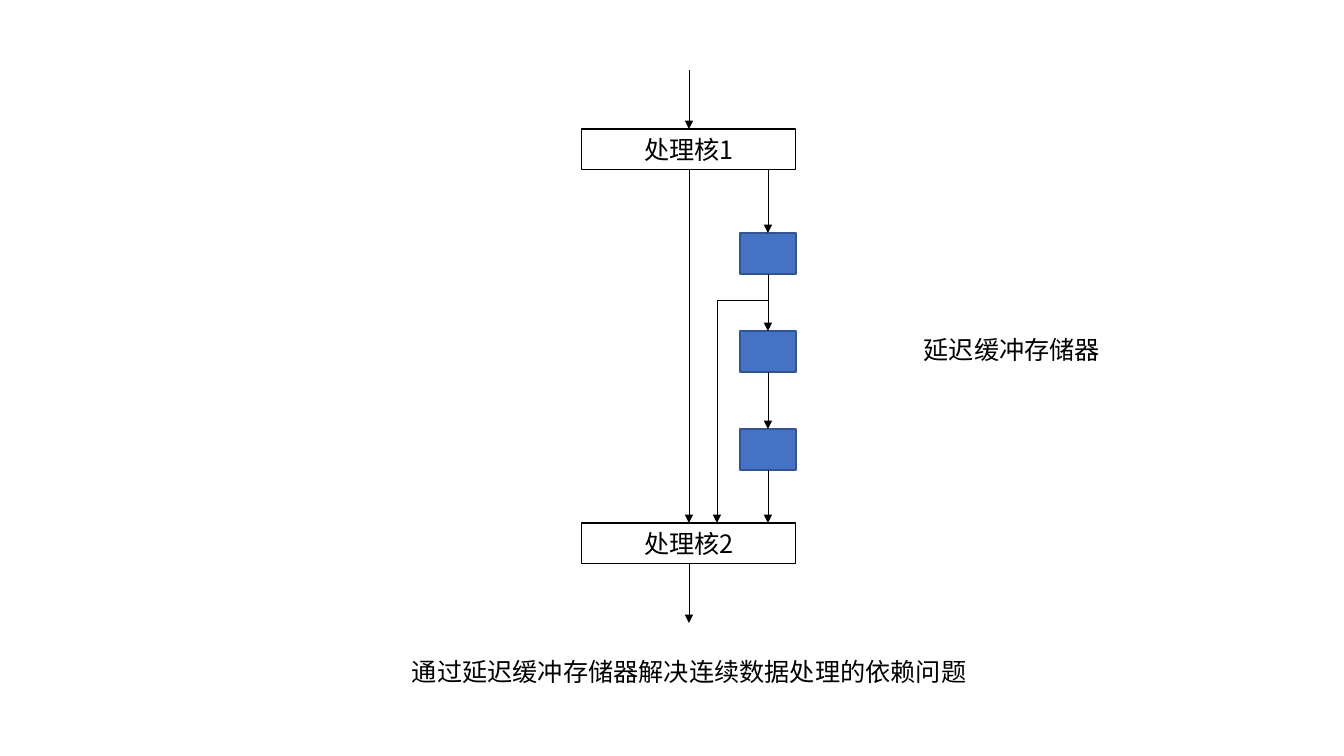
"""Build a slide showing delay buffers between two processing cores."""
from dataclasses import dataclass

from lxml.etree import SubElement
from pptx import Presentation
from pptx.dml.color import RGBColor
from pptx.enum.shapes import MSO_CONNECTOR, MSO_SHAPE
from pptx.enum.text import MSO_ANCHOR, PP_ALIGN
from pptx.oxml.ns import qn
from pptx.util import Pt

CORES = [("处理核1", 129), ("处理核2", 523)]
LABELS = [
    ("延迟缓冲存储器", (787, 329, 450, 41)),
    ("通过延迟缓冲存储器解决连续数据处理的依赖问题", (378, 651, 622, 41)),
]
CORE_X, CORE_W, BOX_H = 582, 214, 41
BUFFER_W, BUFFER_Y, BUFFER_PITCH, BUFFER_COUNT = 56, 233, 98, 3
INPUT_Y, OUTPUT_Y = 70, 623
BRANCH_X, BRANCH_Y = 717, 301
TOP, BOTTOM = 0, 2


@dataclass(frozen=True)
class Theme:
    font: str = "Noto Sans CJK SC"
    size: int = 18
    ink: str = "000000"
    buffer: str = "4472C4"
    edge: str = "325491"
    core_line: float = 0.75
    buffer_line: float = 1
    arrow_line: float = 0.5


THEME = Theme()


def px(n):
    return round(n * 914400 / 100.8)


def color(code):
    return RGBColor.from_string(code)


def write(shape, text, *, size=THEME.size, ink=THEME.ink, align=PP_ALIGN.CENTER):
    tf = shape.text_frame
    tf.word_wrap = True
    tf.vertical_anchor = MSO_ANCHOR.MIDDLE
    p = tf.paragraphs[0]
    p.alignment = align
    r = p.add_run()
    r.text = text
    r.font.size = Pt(size)
    r.font.color.rgb = color(ink)
    r.font.name = THEME.font
    SubElement(r.font._element, qn("a:ea"), typeface=THEME.font)


def add_box(s, x, y, w, line, width, fill=None):
    sp = s.shapes.add_shape(MSO_SHAPE.RECTANGLE, px(x), px(y), px(w), px(BOX_H))
    sp.shadow.inherit = False
    if fill:
        sp.fill.solid()
        sp.fill.fore_color.rgb = color(fill)
    else:
        sp.fill.background()
    sp.line.color.rgb = color(line)
    sp.line.width = Pt(width)
    return sp


def add_arrow(s, start, end, kind=MSO_CONNECTOR.STRAIGHT, source=None, target=None):
    c = s.shapes.add_connector(kind, *map(px, start + end))
    c.line.color.rgb = color(THEME.ink)
    c.line.width = Pt(THEME.arrow_line)
    SubElement(c.line._get_or_add_ln(), qn("a:tailEnd"), type="triangle")
    SubElement(c._element.spPr, qn("a:effectLst"))
    if source is not None:
        c.begin_connect(source, BOTTOM)
    if target is not None:
        c.end_connect(target, TOP)
    return c


def add_branch(s, start, end):
    """Draw an elbow that runs sideways first, then down."""
    cx, cy = (start[0] + end[0]) / 2, (start[1] + end[1]) / 2
    half_w, half_h = (end[1] - start[1]) / 2, (start[0] - end[0]) / 2
    c = add_arrow(s, (cx - half_w, cy - half_h), (cx + half_w, cy + half_h),
                  MSO_CONNECTOR.ELBOW)
    c._element.spPr.find(qn("a:xfrm")).set("rot", "5400000")
    guides = c._element.spPr.find(qn("a:prstGeom")).find(qn("a:avLst"))
    SubElement(guides, qn("a:gd"), name="adj1", fmla="val -100")


def main():
    prs = Presentation()
    prs.slide_width, prs.slide_height = px(1344), px(756)
    s = prs.slides.add_slide(prs.slide_layouts[6])

    cores = []
    for text, y in CORES:
        sp = add_box(s, CORE_X, y, CORE_W, THEME.ink, THEME.core_line)
        write(sp, text)
        cores.append(sp)
    first, last = cores
    first_y, last_y = (y for _, y in CORES)

    buffer_x = CORE_X + CORE_W - BUFFER_W
    tops = [BUFFER_Y + i * BUFFER_PITCH for i in range(BUFFER_COUNT)]
    buffers = [add_box(s, buffer_x, y, BUFFER_W, THEME.edge, THEME.buffer_line, THEME.buffer)
               for y in tops]

    mid = CORE_X + CORE_W // 2
    add_arrow(s, (mid, INPUT_Y), (mid, first_y), target=first)
    add_arrow(s, (mid, first_y + BOX_H), (mid, last_y), source=first, target=last)
    add_arrow(s, (mid, last_y + BOX_H), (mid, OUTPUT_Y), source=last)

    lane = buffer_x + BUFFER_W // 2
    starts = [y + BOX_H for y in [first_y] + tops]
    for y0, y1, source, target in zip(starts, tops + [last_y], [None] + buffers, buffers + [None]):
        add_arrow(s, (lane, y0), (lane, y1), source=source, target=target)
    add_branch(s, (lane, BRANCH_Y), (BRANCH_X, last_y))

    for text, place in LABELS:
        write(s.shapes.add_textbox(*map(px, place)), text)

    prs.save("out.pptx")


if __name__ == "__main__":
    main()
